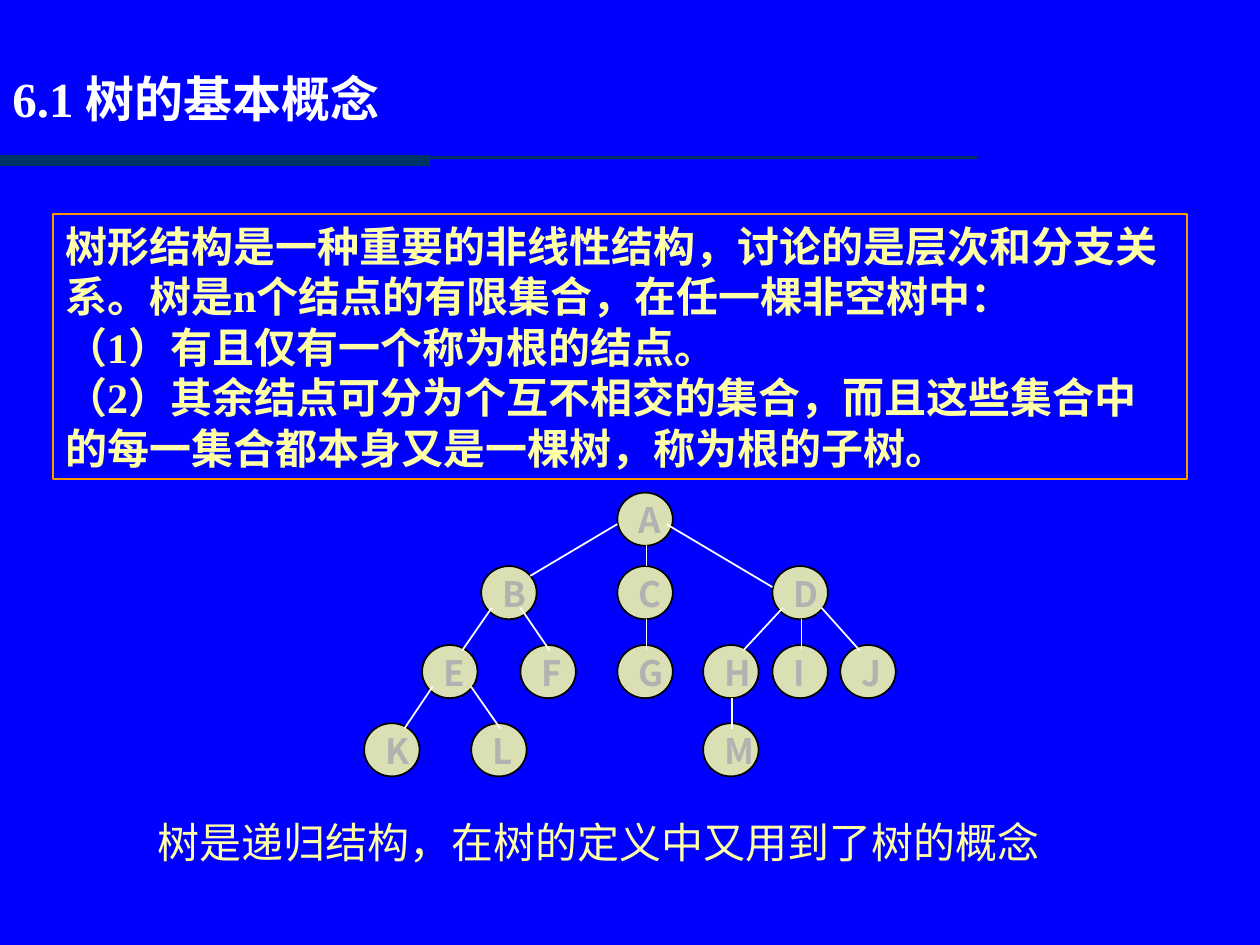
from dataclasses import dataclass

from lxml.etree import SubElement
from pptx import Presentation
from pptx.dml.color import RGBColor
from pptx.enum.shapes import MSO_CONNECTOR, MSO_SHAPE
from pptx.enum.text import MSO_ANCHOR, MSO_AUTO_SIZE, PP_ALIGN
from pptx.oxml.ns import qn
from pptx.util import Pt

COLORS = {
    "background": "0000FF",
    "rule": "003366",
    "frame": "FF9900",
    "body": "FFFFA5",
    "title": "FFFFFF",
    "edge": "FFFFFF",
    "node": "DBE0B4",
    "outline": "000000",
    "letter": "B2B2B2",
}
SERIF = "Times New Roman"
CJK = "Noto Sans CJK SC"
NODE_WIDTH, NODE_HEIGHT = 31.7, 30.4
ROWS = (281.5, 323.5, 368.6, 413.3)


@dataclass(frozen=True)
class Box:
    left: float
    top: float
    width: float
    height: float

    def lengths(self) -> tuple:
        return Pt(self.left), Pt(self.top), Pt(self.width), Pt(self.height)


@dataclass(frozen=True)
class TextStyle:
    size: float
    color: str
    bold: bool = True
    font: str = SERIF
    inset: float = 3.6
    anchor: MSO_ANCHOR = MSO_ANCHOR.TOP


@dataclass(frozen=True)
class Node:
    letter: str
    left: float
    level: int

    @property
    def top(self) -> float:
        return ROWS[self.level]


@dataclass(frozen=True)
class Edge:
    parent: str
    child: str
    start: tuple[float, float]
    end: tuple[float, float]


DOWN_LEFT = (6, 23.8), (23, 3)
DOWN = (16.6, 30), (16.6, 3)
DOWN_RIGHT = (28, 23.8), (16.6, 3)

NODES = (
    Node("A", 352.8, 0),
    Node("B", 275, 1),
    Node("C", 352.8, 1),
    Node("D", 441.4, 1),
    Node("E", 241.2, 2),
    Node("F", 297.4, 2),
    Node("G", 352.8, 2),
    Node("H", 401.8, 2),
    Node("I", 441.4, 2),
    Node("J", 480.2, 2),
    Node("K", 208.1, 3),
    Node("L", 269.3, 3),
    Node("M", 401.8, 3),
)
EDGES = (
    Edge("A", "B", (0, 18), (28, 5.6)),
    Edge("A", "C", (16.6, 30), (16.6, 0)),
    Edge("A", "D", (28, 18), (0, 12)),
    Edge("B", "E", *DOWN_LEFT),
    Edge("B", "F", (22.4, 23.8), (16.6, 3)),
    Edge("C", "G", *DOWN),
    Edge("D", "H", *DOWN_LEFT),
    Edge("D", "I", *DOWN),
    Edge("D", "J", (28, 23.8), (11, 3)),
    Edge("E", "K", *DOWN_LEFT),
    Edge("E", "L", *DOWN_RIGHT),
    Edge("H", "M", *DOWN),
)
DEFINITION = (
    "树形结构是一种重要的非线性结构，讨论的是层次和分支关系。"
    "树是n个结点的有限集合，在任一棵非空树中：\n"
    "（1）有且仅有一个称为根的结点。\n"
    "（2）其余结点可分为个互不相交的集合，而且这些集合中的每一集合都本身又是一棵树，称为根的子树。"
)


def rgb(name: str) -> RGBColor:
    return RGBColor.from_string(COLORS[name])


def apply(target, values: dict) -> None:
    for attribute, value in values.items():
        setattr(target, attribute, value)


def write(shape, wording: str, style: TextStyle) -> None:
    frame = shape.text_frame
    apply(frame, {
        "word_wrap": True,
        "auto_size": MSO_AUTO_SIZE.SHAPE_TO_FIT_TEXT,
        "vertical_anchor": style.anchor,
        "margin_left": Pt(7.2),
        "margin_right": Pt(7.2),
        "margin_top": Pt(style.inset),
        "margin_bottom": Pt(style.inset),
    })
    paragraph = frame.paragraphs[0]
    paragraph.text = wording
    paragraph.alignment = PP_ALIGN.LEFT
    for run in paragraph.runs:
        apply(run.font, {"name": style.font, "size": Pt(style.size), "bold": style.bold})
        run.font.color.rgb = rgb(style.color)
        SubElement(run.font._element, qn("a:ea"), typeface=CJK)


def add_text(shapes, box: Box, wording: str, style: TextStyle) -> None:
    write(shapes.add_textbox(*box.lengths()), wording, style)


def add_outlined(shapes, kind: MSO_SHAPE, box: Box, line: str):
    shape = shapes.add_shape(kind, *box.lengths())
    shape.shadow.inherit = False
    shape.fill.background()
    shape.line.color.rgb = rgb(line)
    shape.line.width = Pt(1)
    return shape


def add_line(shapes, start: tuple, end: tuple, color: str, width: float) -> None:
    line = shapes.add_connector(MSO_CONNECTOR.STRAIGHT, *map(Pt, (*start, *end)))
    line.line.color.rgb = rgb(color)
    line.line.width = Pt(width)
    SubElement(line._element.spPr, qn("a:effectLst"))


def add_node(shapes, node: Node) -> None:
    circle = add_outlined(
        shapes, MSO_SHAPE.OVAL, Box(node.left, node.top, NODE_WIDTH, NODE_HEIGHT), "outline"
    )
    circle.fill.solid()
    circle.fill.fore_color.rgb = rgb("node")
    label = Box(node.left + 5, node.top, 32.4, 31.7)
    add_text(shapes, label, node.letter, TextStyle(20, "letter", font=CJK))


def add_edge(shapes, edge: Edge, nodes: dict[str, Node]) -> None:
    parent, child = nodes[edge.parent], nodes[edge.child]
    start = parent.left + edge.start[0], parent.top + edge.start[1]
    end = child.left + edge.end[0], child.top + edge.end[1]
    add_line(shapes, start, end, "edge", 1)


def main() -> None:
    deck = Presentation()
    apply(deck, {"slide_width": Pt(720), "slide_height": Pt(540)})
    slide = deck.slides.add_slide(deck.slide_layouts[6])
    slide.background.fill.solid()
    slide.background.fill.fore_color.rgb = rgb("background")
    shapes = slide.shapes

    add_line(shapes, (558, 90), (0, 90), "rule", 1.5)
    add_line(shapes, (0, 91.6), (246, 91.6), "rule", 6)

    definition = add_outlined(shapes, MSO_SHAPE.RECTANGLE, Box(30.2, 122.4, 648, 151.5), "frame")
    write(definition, DEFINITION, TextStyle(24, "body"))
    add_text(shapes, Box(82.8, 463, 578, 36), "树是递归结构，在树的定义中又用到了树的概念",
             TextStyle(24, "body", bold=False))

    tree = shapes.add_group_shape().shapes
    for node in NODES:
        add_node(tree, node)
    nodes = {node.letter: node for node in NODES}
    for edge in EDGES:
        add_edge(tree, edge, nodes)

    add_text(shapes, Box(0, 26, 332, 60), "6.1 树的基本概念",
             TextStyle(28, "title", inset=13, anchor=MSO_ANCHOR.MIDDLE))
    deck.save("out.pptx")


if __name__ == "__main__":
    main()
